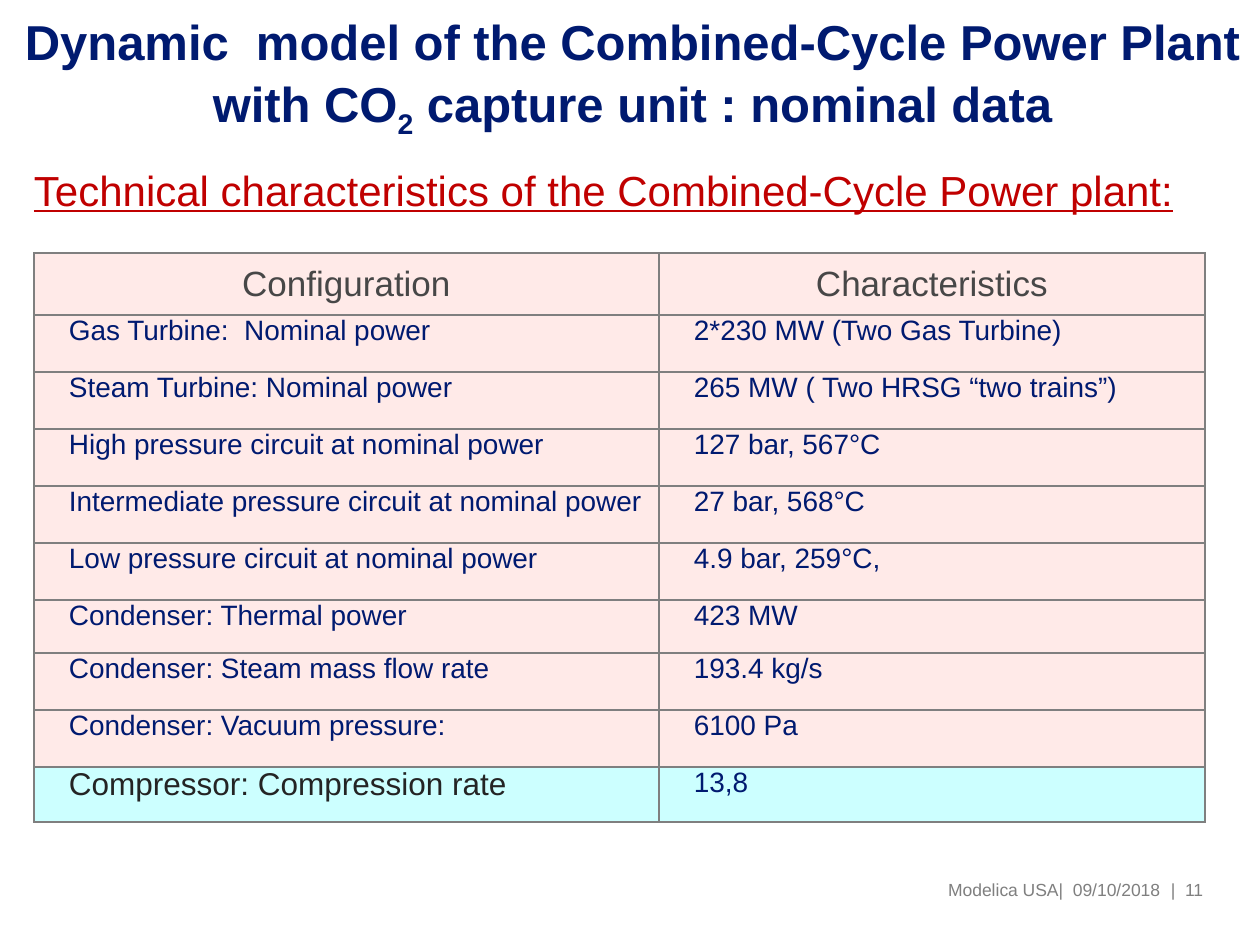
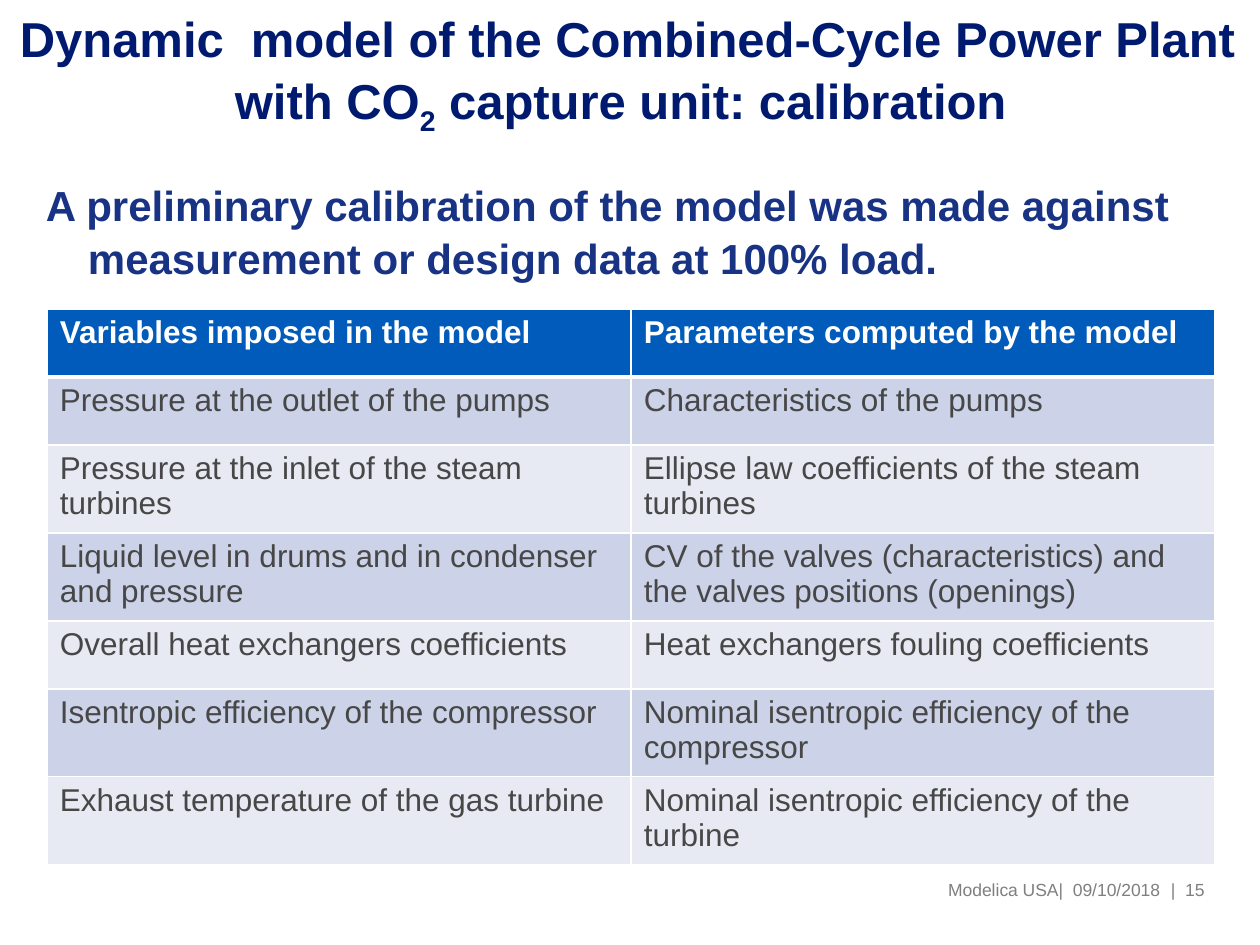
import lxml.etree
import pptx
import pptx.dml.color
import pptx.enum.text
import pptx.oxml.ns
import pptx.util

PX = 7257  # EMU in one px, 126 px to the inch
FONT = "Arial"
NAVY, BLUE, RED = "001A70", "183284", "C00000"
GREY, DARK_GREY, BLACK, WHITE = "7F7F7F", "474747", "242424", "FFFFFF"
HEADER_BLUE, BAND_DARK, BAND_LIGHT = "005BBB", "CCD2E7", "E7EAF3"
PINK, CYAN = "FFEAE8", "CCFFFF"
ALIGN = pptx.enum.text.PP_ALIGN
ANCHOR = pptx.enum.text.MSO_ANCHOR
color = pptx.dml.color.RGBColor.from_string
qn = pptx.oxml.ns.qn


def add_paragraph_box(slide, box, align=ALIGN.LEFT, anchor=ANCHOR.MIDDLE):
    frame = slide.shapes.add_textbox(*[n * PX for n in box]).text_frame
    frame.word_wrap = True
    frame.vertical_anchor = anchor
    frame.margin_left = frame.margin_right = 0
    frame.margin_top = frame.margin_bottom = 0
    frame.paragraphs[0].alignment = align
    return frame.paragraphs[0]


def add_run(paragraph, text, size, hex_color, bold=False):
    run = paragraph.add_run()
    run.text = text
    run.font.name = FONT
    run.font.size = pptx.util.Pt(size)
    run.font.bold = bold
    run.font.color.rgb = color(hex_color)
    return run


# Content of the two slides
nominal_rows = [
    ("Configuration", "Characteristics"),
    ("Gas Turbine:  Nominal power", "2*230 MW (Two Gas Turbine)"),
    ("Steam Turbine: Nominal power", "265 MW ( Two HRSG “two trains”)"),
    ("High pressure circuit at nominal power", "127 bar, 567°C"),
    ("Intermediate pressure circuit at nominal power", "27 bar, 568°C"),
    ("Low pressure circuit at nominal power", "4.9 bar, 259°C,"),
    ("Condenser: Thermal power", "423 MW"),
    ("Condenser: Steam mass flow rate", "193.4 kg/s"),
    ("Condenser: Vacuum pressure:", "6100 Pa"),
    ("Compressor: Compression rate", "13,8"),
]
calibration_rows = [
    ("Variables imposed in the model", "Parameters computed by the model"),
    ("Pressure at the outlet of the pumps", "Characteristics of the pumps"),
    ("Pressure at the inlet of the steam turbines",
     "Ellipse law coefficients of the steam turbines"),
    ("Liquid level in drums and in condenser and pressure",
     "CV of the valves (characteristics) and the valves positions (openings)"),
    ("Overall heat exchangers coefficients", "Heat exchangers fouling coefficients"),
    ("Isentropic efficiency of the compressor",
     "Nominal isentropic efficiency of the compressor"),
    ("Exhaust temperature of the gas turbine",
     "Nominal isentropic efficiency of the turbine"),
]
nominal = dict(
    number=11, title_end=" capture unit : nominal data", title_box=(5, -1, 1255, 151),
    heading="Technical characteristics of the Combined-Cycle Power plant:",
    heading_box=(34, 162, 1210, 60), heading_color=RED, heading_bold=False, hanging=0,
    rows=nominal_rows, table_at=(34, 253), columns=(625, 546),
    heights=(62, 57, 57, 57, 57, 57, 53, 57, 57, 55),
    margins=(10, 0), border=GREY, header_line=1, first_indent=25,
    fills=[PINK] * 9 + [CYAN],
    header_font=(20, DARK_GREY, False), body_font=(16, NAVY, False),
    header_align=ALIGN.CENTER, body_align=ALIGN.JUSTIFY, header_anchor=ANCHOR.MIDDLE)
calibration = dict(
    number=15, title_end=" capture unit: calibration ", title_box=(0, -4, 1255, 151),
    heading="A preliminary calibration of the model was made against "
            "measurement or design data at 100% load.",
    heading_box=(46, 177, 1190, 110), heading_color=BLUE, heading_bold=True, hanging=42,
    rows=calibration_rows, table_at=(47, 309), columns=(584, 584),
    heights=(68, 68, 88, 88, 68, 88, 88),
    margins=(13, 6), border=WHITE, header_line=3, first_indent=0,
    fills=[HEADER_BLUE] + [BAND_DARK, BAND_LIGHT] * 3,
    header_font=(18, WHITE, True), body_font=(18, DARK_GREY, False),
    header_align=ALIGN.LEFT, body_align=ALIGN.LEFT, header_anchor=ANCHOR.TOP)

deck = pptx.Presentation()
deck.slide_width, deck.slide_height = 1260 * PX, 945 * PX

for page in (nominal, calibration):
    slide = deck.slides.add_slide(deck.slide_layouts[6])

    # Footer
    page_number = add_paragraph_box(slide, (1171, 879, 60, 22))
    add_run(page_number, f"|  {page['number']}", 10, GREY)
    event = add_paragraph_box(slide, (630, 879, 431 + 99, 22), ALIGN.RIGHT)
    event_text = "Modelica USA|  09/10/2018"
    add_run(event, event_text, 10, GREY)

    # Title
    title = add_paragraph_box(slide, page["title_box"], ALIGN.CENTER)
    title.line_spacing = 1.05
    add_run(title, "Dynamic  model of the Combined-Cycle Power Plant with CO", 28, NAVY, True)
    subscript = add_run(title, "2", 28, NAVY, True)
    subscript.font._element.set("baseline", "-25000")
    add_run(title, page["title_end"], 28, NAVY, True)

    # Heading above the table
    heading = add_paragraph_box(slide, page["heading_box"], anchor=ANCHOR.TOP)
    heading.line_spacing = 1.05
    indents = heading._p.get_or_add_pPr()
    indents.set("marL", str(page["hanging"] * PX))
    indents.set("indent", str(-page["hanging"] * PX))
    heading_run = add_run(heading, page["heading"], 24, page["heading_color"],
                          page["heading_bold"])
    heading_run.font.underline = page is nominal

    # Table
    left, top = page["table_at"]
    table = slide.shapes.add_table(
        len(page["rows"]), 2, left * PX, top * PX,
        sum(page["columns"]) * PX, sum(page["heights"]) * PX).table
    table.first_row = table.horz_banding = False
    for column, width in zip(table.columns, page["columns"]):
        column.width = width * PX
    for row_index, texts in enumerate(page["rows"]):
        table.rows[row_index].height = page["heights"][row_index] * PX
        is_header = row_index == 0
        for column_index, text in enumerate(texts):
            cell = table.cell(row_index, column_index)
            side, edge = page["margins"]
            cell.margin_left = cell.margin_right = side * PX
            cell.margin_top = cell.margin_bottom = edge * PX
            cell.vertical_anchor = page["header_anchor"] if is_header else ANCHOR.TOP

            # Borders, heavier between header and body
            for border_tag in ("a:lnL", "a:lnR", "a:lnT", "a:lnB"):
                under_header = (row_index, border_tag) in ((0, "a:lnB"), (1, "a:lnT"))
                points = page["header_line"] if under_header else 1
                border = lxml.etree.SubElement(cell._tc.get_or_add_tcPr(), qn(border_tag),
                                               w=str(pptx.util.Pt(points)))
                line_fill = lxml.etree.SubElement(border, qn("a:solidFill"))
                lxml.etree.SubElement(line_fill, qn("a:srgbClr"), val=page["border"])
            cell.fill.solid()
            cell.fill.fore_color.rgb = color(page["fills"][row_index])

            # Cell text
            entry = cell.text_frame.paragraphs[0]
            entry.alignment = page["header_align"] if is_header else page["body_align"]
            if not is_header:
                entry._p.get_or_add_pPr().set("indent", str(page["first_indent"] * PX))
            font = page["header_font"] if is_header else page["body_font"]
            if text.startswith("Compressor:"):
                font = (18, BLACK, False)
            add_run(entry, text, *font)

deck.save("out.pptx")
